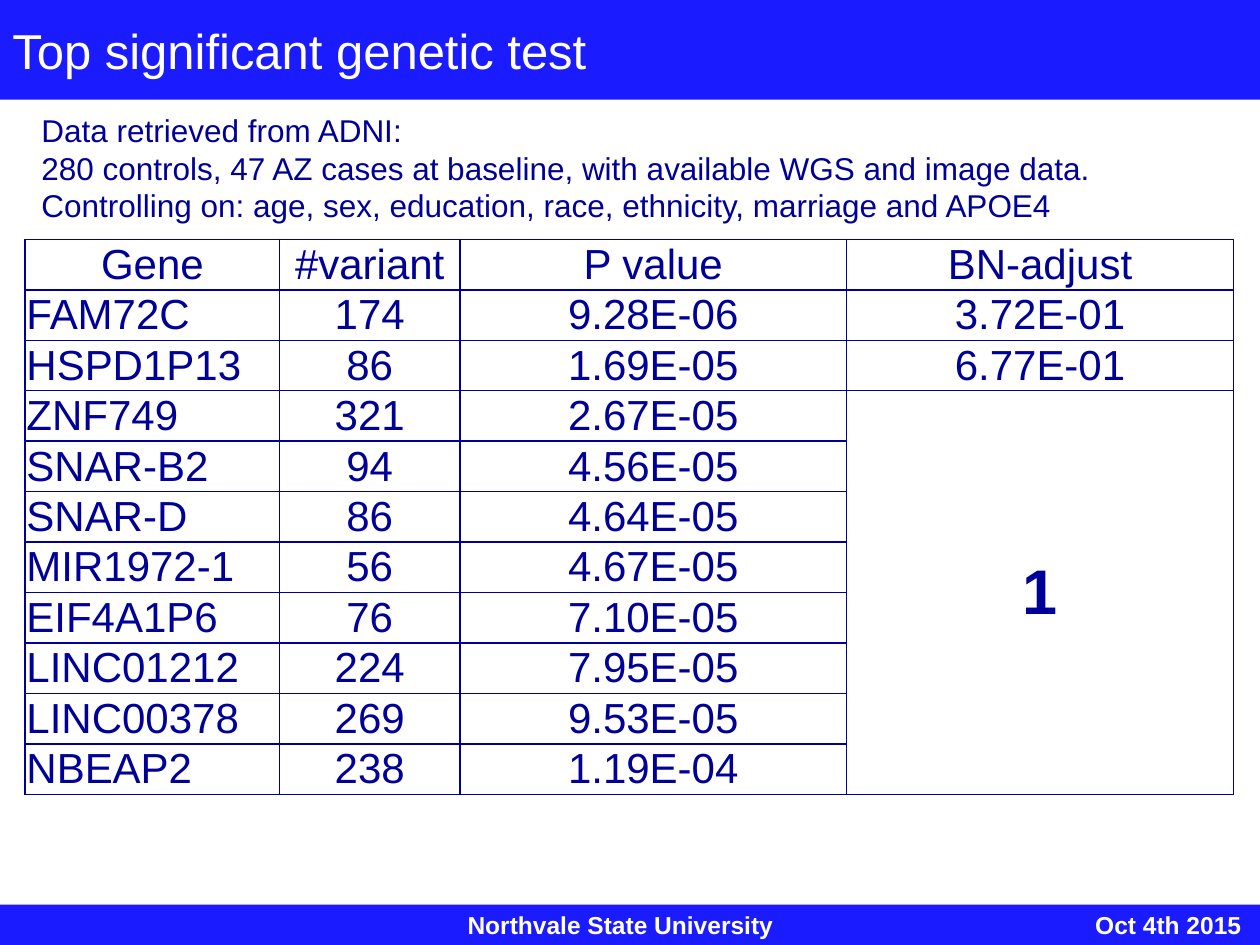
from dataclasses import dataclass

from lxml import etree
from pptx import Presentation
from pptx.dml.color import RGBColor
from pptx.enum import shapes, text
from pptx.oxml import ns
from pptx.util import Inches, Pt

LEFT, MID, RIGHT = text.PP_ALIGN.LEFT, text.PP_ALIGN.CENTER, text.PP_ALIGN.RIGHT
TOP, CENTRE = text.MSO_ANCHOR.TOP, text.MSO_ANCHOR.MIDDLE


@dataclass(frozen=True)
class Theme:
    font: str = "Arial"
    bar: str = "1B1BFF"
    ink: str = "000099"
    light: str = "FFFFFF"
    title: int = 28
    cell: int = 24
    body: int = 18
    foot: int = 14
    big: int = 36


def write(frame, words, *, font, size, color, bold=False, align=LEFT):
    """Fill a text frame, one paragraph per line of words."""
    for i, line in enumerate(words.split("\n")):
        para = frame.paragraphs[0] if i == 0 else frame.add_paragraph()
        para.alignment = align
        run = para.add_run()
        run.text = line
        run.font.name = font
        run.font.size = Pt(size)
        run.font.bold = bold
        run.font.color.rgb = RGBColor.from_string(color)


def edge(cell, color, width=1):
    """Draw a solid line on all four sides; call before setting the fill."""
    props = cell._tc.get_or_add_tcPr()
    for side in ("lnL", "lnR", "lnT", "lnB"):
        line = etree.SubElement(props, ns.qn(f"a:{side}"), w=str(Pt(width)))
        fill = etree.SubElement(line, ns.qn("a:solidFill"))
        etree.SubElement(fill, ns.qn("a:srgbClr"), val=color)


class Page:
    def __init__(self, slide, theme):
        self.slide = slide
        self.theme = theme

    def bar(self, *box):
        shape = self.slide.shapes.add_shape(
            shapes.MSO_SHAPE.RECTANGLE, *map(Inches, box))
        shape.shadow.inherit = False
        shape.fill.solid()
        shape.fill.fore_color.rgb = RGBColor.from_string(self.theme.bar)
        shape.line.fill.background()

    def label(self, words, *box, anchor=TOP, **style):
        frame = self.slide.shapes.add_textbox(*map(Inches, box)).text_frame
        frame.word_wrap = True
        frame.vertical_anchor = anchor
        write(frame, words, font=self.theme.font, **style)

    def table(self, rows, left, top, widths, height, merged):
        """Place a grid; merged is the row where the last column joins up."""
        look = self.theme
        grid = self.slide.shapes.add_table(
            len(rows), len(widths), Inches(left), Inches(top),
            Inches(sum(widths)), Inches(height * len(rows))).table
        grid.first_row = grid.horz_banding = False
        for col, width in zip(grid.columns, widths):
            col.width = Inches(width)
        for row in grid.rows:
            row.height = Inches(height)
        last = len(widths) - 1
        grid.cell(merged, last).merge(grid.cell(len(rows) - 1, last))
        for r, row in enumerate(rows):
            for c in range(len(widths)):
                cell = grid.cell(r, c)
                edge(cell, look.ink)
                cell.fill.background()
                cell.margin_left = cell.margin_right = Inches(0.01)
                cell.margin_top = cell.margin_bottom = 0
                cell.vertical_anchor = CENTRE
                if c >= len(row):
                    continue
                joined = (r, c) == (merged, last)
                write(cell.text_frame, row[c], font=look.font, color=look.ink,
                      size=look.big if joined else look.cell, bold=joined,
                      align=LEFT if r and c == 0 else MID)


GENES = [
    ("Gene", "#variant", "P value", "BN-adjust"),
    ("FAM72C", "174", "9.28E-06", "3.72E-01"),
    ("HSPD1P13", "86", "1.69E-05", "6.77E-01"),
    ("ZNF749", "321", "2.67E-05", "1"),
    ("SNAR-B2", "94", "4.56E-05"),
    ("SNAR-D", "86", "4.64E-05"),
    ("MIR1972-1", "56", "4.67E-05"),
    ("EIF4A1P6", "76", "7.10E-05"),
    ("LINC01212", "224", "7.95E-05"),
    ("LINC00378", "269", "9.53E-05"),
    ("NBEAP2", "238", "1.19E-04"),
]
NOTE = """Data retrieved from ADNI:
280 controls, 47 AZ cases at baseline, with available WGS and image data.
Controlling on: age, sex, education, race, ethnicity, marriage and APOE4"""


def main():
    deck = Presentation()
    deck.slide_width, deck.slide_height = Inches(10), Inches(7.5)
    look = Theme()
    page = Page(deck.slides.add_slide(deck.slide_layouts[6]), look)

    foot = dict(size=look.foot, color=look.light, bold=True)
    page.bar(0, 7.18, 10, 0.32)
    page.label("Northvale State University", 2.01, 7.17, 5.83, 0.33,
               align=MID, **foot)
    page.label("Oct 4th 2015", 8, 7.17, 1.95, 0.34,
               anchor=CENTRE, align=RIGHT, **foot)

    page.bar(0, 0, 10, 0.79)
    page.label("Top significant genetic test", 0, 0, 9.05, 0.79,
               anchor=CENTRE, size=look.title, color=look.light)
    page.table(GENES, 0.2, 1.9, (2.02, 1.43, 3.07, 3.07), 0.4, merged=3)
    page.label(NOTE, 0.23, 0.83, 9.19, 1.01, size=look.body, color=look.ink)

    deck.save("out.pptx")


if __name__ == "__main__":
    main()
